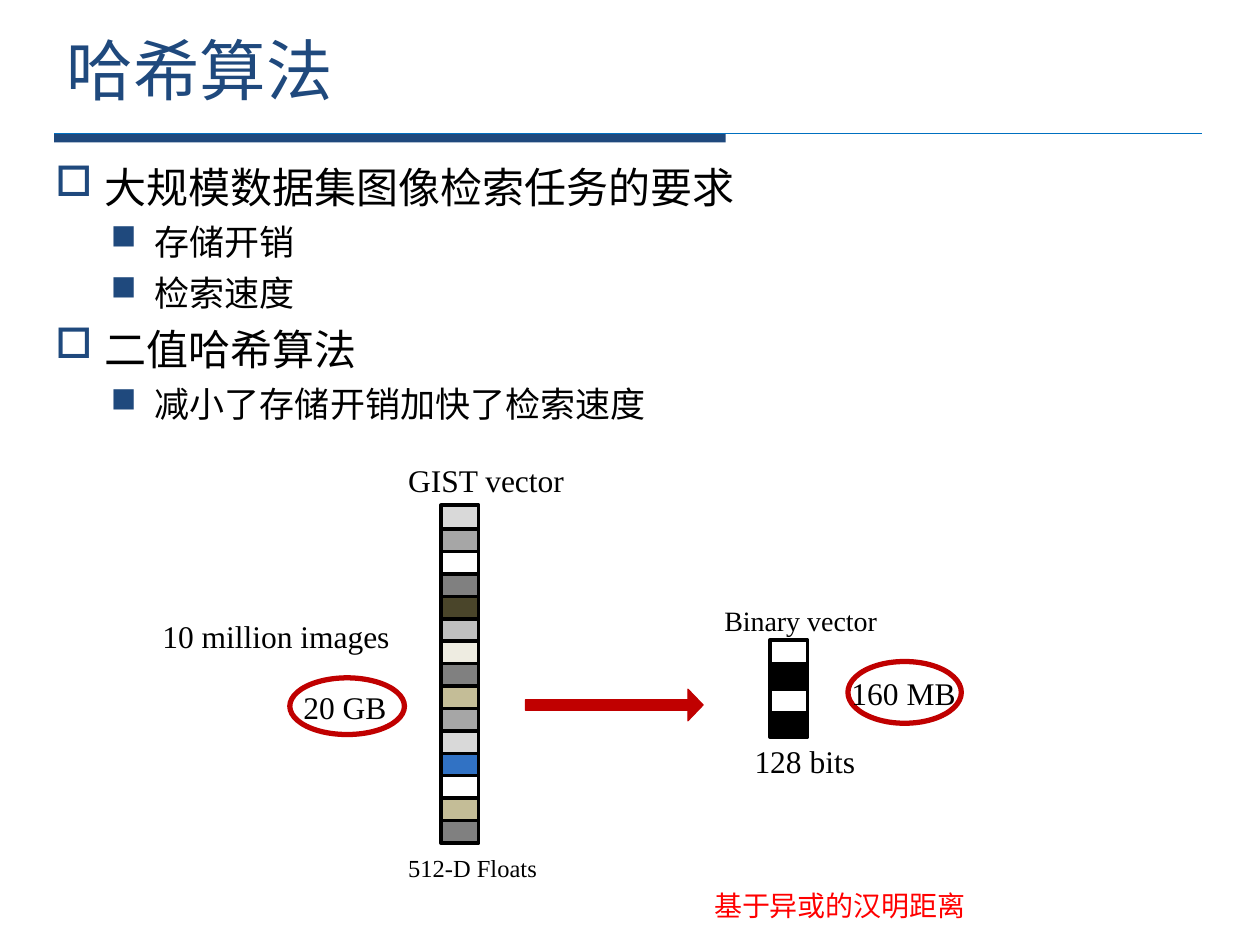
from dataclasses import dataclass
from typing import Any

from lxml import etree
from pptx import Presentation
from pptx.dml.color import RGBColor
from pptx.enum import shapes, text
from pptx.oxml import ns
from pptx.util import Inches, Pt


@dataclass(frozen=True)
class Theme:
    navy: str = "1F497D"
    rule: str = "0070C0"
    accent: str = "C00000"
    alert: str = "FF0000"
    black: str = "000000"
    white: str = "FFFFFF"
    heading_font: str = "Arial"
    label_font: str = "Times New Roman"
    title_size: int = 38
    topic_size: int = 24
    point_size: int = 20
    label_size: int = 18
    note_size: int = 16
    small_size: int = 14


THEME = Theme()


@dataclass(frozen=True)
class Box:
    left: float
    top: float
    width: float
    height: float

    def lengths(self) -> list[int]:
        return [Inches(v) for v in (self.left, self.top, self.width, self.height)]


@dataclass(frozen=True)
class BulletLevel:
    symbol: str
    size: int
    indent: float
    hanging: float
    space_before: int


@dataclass(frozen=True)
class Label:
    wording: str
    box: Box
    size: int = THEME.label_size
    color: str = THEME.black
    align: Any = text.PP_ALIGN.LEFT


@dataclass(frozen=True)
class VectorStack:
    """A column of cells, with colours listed from top to bottom."""
    left: float
    first_top: float
    last_top: float
    colors: tuple[str, ...]


TOPIC = BulletLevel("□", THEME.topic_size, 0.39, 0.39, 6)
POINT = BulletLevel("■", THEME.point_size, 0.79, 0.35, 5)
OUTLINE = (
    (TOPIC, "大规模数据集图像检索任务的要求"),
    (POINT, "存储开销"),
    (POINT, "检索速度"),
    (TOPIC, "二值哈希算法"),
    (POINT, "减小了存储开销加快了检索速度"),
)

STACKS = (
    VectorStack(6.11, 5.08, 5.66, (THEME.white, THEME.black) * 2),
    VectorStack(3.5, 4.01, 6.5, (
        "D9D9D9", "A6A6A6", "FFFFFF", "808080", "4A452A", "BFBFBF", "EEECE1", "808080",
        "C4BD97", "A6A6A6", "D9D9D9", "3172C4", "FFFFFF", "C4BD97", "808080")),
)
SIZE_RINGS = (Box(6.73, 5.25, 0.9, 0.49), Box(2.3, 5.38, 0.91, 0.45))
LABELS = (
    Label("Binary vector", Box(5.65, 4.74, 1.49, 0.37), THEME.note_size),
    Label("128 bits", Box(5.89, 5.84, 1.23, 0.4)),
    Label("160 MB", Box(6.66, 5.3, 1.07, 0.4)),
    Label("GIST vector", Box(3.14, 3.61, 1.49, 0.4)),
    Label("512-D Floats", Box(3.14, 6.72, 1.42, 0.34), THEME.small_size),
    Label("20 GB", Box(2.31, 5.41, 0.94, 0.4)),
    Label("10 million images", Box(1.19, 4.85, 2.1, 0.4)),
    Label("基于异或的汉明距离", Box(5.09, 7, 3.15, 0.37), THEME.note_size,
          THEME.alert, text.PP_ALIGN.CENTER),
)


def apply_format(target: Any, values: dict[str, Any]) -> None:
    for name, value in values.items():
        setattr(target, name, value)


def set_font(paragraph: Any, name: str, size: int, color: str) -> None:
    font = paragraph.runs[0].font
    apply_format(font, {"name": name, "size": Pt(size)})
    font.color.rgb = RGBColor.from_string(color)


def add_text_frame(slide: Any, box: Box, anchor: Any = text.MSO_ANCHOR.TOP) -> Any:
    frame = slide.shapes.add_textbox(*box.lengths()).text_frame
    apply_format(frame, {"word_wrap": True, "vertical_anchor": anchor})
    return frame


def add_filled_shape(slide: Any, kind: Any, box: Box, fill: str,
                     line: str, line_width: float) -> Any:
    shape = slide.shapes.add_shape(kind, *box.lengths())
    shape.shadow.inherit = False
    shape.fill.solid()
    shape.fill.fore_color.rgb = RGBColor.from_string(fill)
    shape.line.color.rgb = RGBColor.from_string(line)
    shape.line.width = Pt(line_width)
    return shape


def add_title(slide: Any) -> None:
    bar = add_filled_shape(slide, shapes.MSO_SHAPE.RECTANGLE, Box(0.43, 1.06, 5.33, 0.07),
                           THEME.navy, THEME.navy, 0)
    bar.line.fill.background()
    rule = slide.shapes.add_connector(shapes.MSO_CONNECTOR.STRAIGHT, Inches(0.43),
                                      Inches(1.06), Inches(9.54), Inches(1.06))
    rule.line.color.rgb = RGBColor.from_string(THEME.rule)
    rule.line.width = Pt(0.75)
    etree.SubElement(rule._element.spPr, ns.qn("a:effectLst"))

    frame = add_text_frame(slide, Box(0.43, 0.13, 8.95, 0.84), text.MSO_ANCHOR.MIDDLE)
    frame.text = "哈希算法"
    set_font(frame.paragraphs[0], THEME.heading_font, THEME.title_size, THEME.navy)


def add_bullet(paragraph: Any, level: BulletLevel) -> None:
    properties = paragraph._p.get_or_add_pPr()
    properties.set("marL", str(Inches(level.indent)))
    properties.set("indent", str(-Inches(level.hanging)))
    color = etree.SubElement(properties, ns.qn("a:buClr"))
    etree.SubElement(color, ns.qn("a:srgbClr"), val=THEME.navy)
    etree.SubElement(properties, ns.qn("a:buChar"), char=level.symbol)


def add_outline(slide: Any) -> None:
    frame = add_text_frame(slide, Box(0.34, 1.23, 9.2, 5.67))
    for index, (level, wording) in enumerate(OUTLINE):
        paragraph = frame.add_paragraph() if index else frame.paragraphs[0]
        paragraph.text = wording
        add_bullet(paragraph, level)
        apply_format(paragraph, {"level": 0 if level is TOPIC else 1,
                                 "space_before": Pt(level.space_before if index else 0)})
        set_font(paragraph, THEME.heading_font, level.size, THEME.black)


def add_stack(slide: Any, stack: VectorStack) -> None:
    """Draw the cells from the bottom up, so that upper borders lie on top."""
    step = (stack.last_top - stack.first_top) / (len(stack.colors) - 1)
    for row, color in reversed(list(enumerate(stack.colors))):
        cell = Box(stack.left, stack.first_top + row * step, 0.3, 0.19)
        add_filled_shape(slide, shapes.MSO_SHAPE.RECTANGLE, cell, color, THEME.black, 2)


def add_label(slide: Any, label: Label) -> None:
    frame = add_text_frame(slide, label.box)
    frame.text = label.wording
    paragraph = frame.paragraphs[0]
    paragraph.alignment = label.align
    set_font(paragraph, THEME.label_font, label.size, label.color)


def main() -> None:
    presentation = Presentation()
    apply_format(presentation, {"slide_width": Inches(10), "slide_height": Inches(7.5)})
    slide = presentation.slides.add_slide(presentation.slide_layouts[6])
    add_title(slide)
    add_outline(slide)
    for stack in STACKS:
        add_stack(slide, stack)
    for ring in SIZE_RINGS:
        add_filled_shape(slide, shapes.MSO_SHAPE.OVAL, ring, THEME.white, THEME.accent, 3)
    for label in LABELS:
        add_label(slide, label)
    arrow = add_filled_shape(slide, shapes.MSO_SHAPE.RIGHT_ARROW, Box(4.17, 5.47, 1.41, 0.25),
                             THEME.accent, THEME.accent, 0.75)
    arrow.adjustments[0], arrow.adjustments[1] = 0.33, 0.48
    presentation.save("out.pptx")


if __name__ == "__main__":
    main()
